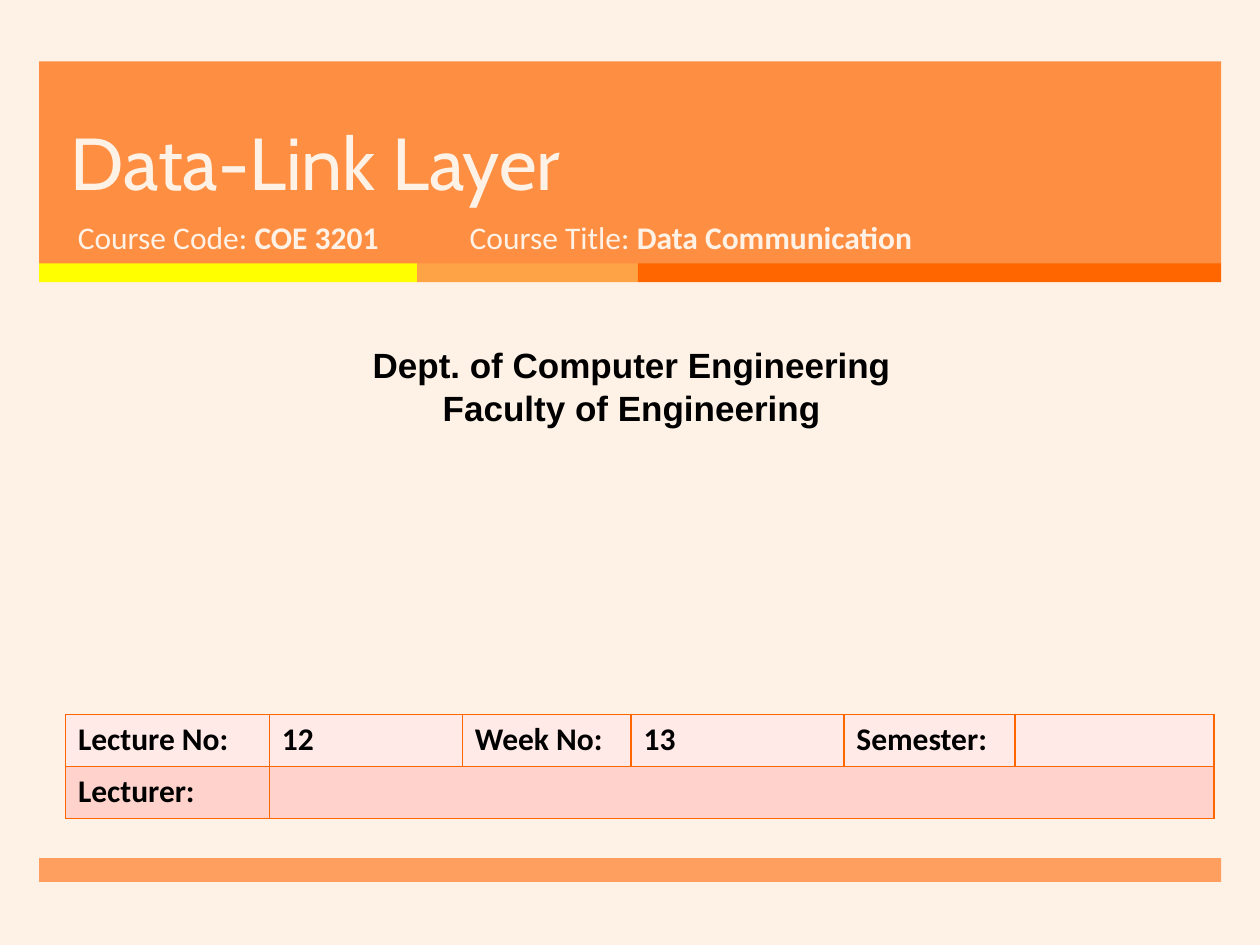
"""Build the opening slide of a data communication lecture."""
from itertools import accumulate

from lxml import etree
from pptx import Presentation
from pptx import util as u
from pptx.dml.color import RGBColor
from pptx.enum import shapes, text
from pptx.oxml.ns import qn

COLORS = {
    "cream": "FEF2E6", "orange": "FF7D26", "yellow": "FFFF00", "amber": "FFA347",
    "deep": "FF6600", "black": "000000", "pale": "FFEAE7", "pink": "FFD3CC",
}
TITLE = "Data-Link Layer"
COURSE = [
    ((1.32, 4.27, 7.75, 1.35), "Course Code: ", "COE 3201"),
    ((9.22, 4.27, 11.56, 1.35), "Course Title: ", "Data Communication"),
]
DEPARTMENT = ["Dept. of Computer Engineering", "Faculty of Engineering"]
LECTURE = [
    ("pale", ["Lecture No:", "12", "Week No:", "13", "Semester:", ""]),
    ("pink", ["Lecturer:", "", "", "", "", ""]),
]
COLUMNS = [4.11, 3.89, 3.4, 4.29, 3.45, 4.01]
ROW_HEIGHT = 1.05
BAND_LEFT, BAND_WIDTH = 0.79, 23.83
PANELS = [(1.24, 4.09, 85), (17.3, 0.48, 70)]
STRIPES = [("yellow", 7.62), ("amber", 4.45), ("deep", 11.76)]


def color(name):
    return RGBColor.from_string(COLORS[name])


def lengths(values):
    return [u.Cm(value) for value in values]


def add_band(page, place, name, opacity=100):
    band = page.shapes.add_shape(shapes.MSO_SHAPE.RECTANGLE, *lengths(place))
    band.shadow.inherit = False
    band.line.fill.background()
    band.fill.solid()
    band.fill.fore_color.rgb = color(name)
    if opacity < 100:
        tint = band.fill._xPr.find(".//" + qn("a:srgbClr"))
        etree.SubElement(tint, qn("a:alpha"), val=str(opacity * 1000))


def add_span(para, words, size, font, name, bold=False):
    span = para.add_run()
    span.text = words
    span.font.size = u.Pt(size)
    span.font.name = font
    span.font.bold = bold
    span.font.color.rgb = color(name)


def add_box(page, place):
    box = page.shapes.add_textbox(*lengths(place))
    box.text_frame.word_wrap = True
    return box.text_frame


def add_title(page):
    title = page.shapes.title
    title.left, title.top, title.width, title.height = lengths((1.17, 1.24, 19.23, 3.02))
    title.text_frame.vertical_anchor = text.MSO_ANCHOR.BOTTOM
    para = title.text_frame.paragraphs[0]
    para.alignment = text.PP_ALIGN.LEFT
    para.line_spacing = u.Pt(46)
    para.space_before = u.Pt(0)
    add_span(para, TITLE, 42, "Cabin", "cream")


def add_borders(cell):
    props = cell._tc.get_or_add_tcPr()
    for index, side in enumerate(("lnL", "lnR", "lnT", "lnB")):
        line = etree.Element(qn("a:" + side), w=str(u.Pt(1)))
        fill = etree.SubElement(line, qn("a:solidFill"))
        etree.SubElement(fill, qn("a:srgbClr"), val=COLORS["deep"])
        props.insert(index, line)


def add_lecture_table(page):
    place = (1.32, 14.4, sum(COLUMNS), ROW_HEIGHT * len(LECTURE))
    table = page.shapes.add_table(len(LECTURE), len(COLUMNS), *lengths(place)).table
    for column, width in zip(table.columns, COLUMNS):
        column.width = u.Cm(width)
    for row, (shade, entries) in enumerate(LECTURE):
        table.rows[row].height = u.Cm(ROW_HEIGHT)
        for column, words in enumerate(entries):
            cell = table.cell(row, column)
            cell.fill.solid()
            cell.fill.fore_color.rgb = color(shade)
            add_borders(cell)
            if words:
                add_span(cell.text_frame.paragraphs[0], words, 18, "Calibri", "black", True)
    table.cell(1, 1).merge(table.cell(1, len(COLUMNS) - 1))


def main():
    deck = Presentation()
    deck.slide_width, deck.slide_height = lengths((25.4, 19.05))
    page = deck.slides.add_slide(deck.slide_layouts[5])
    page.background.fill.solid()
    page.background.fill.fore_color.rgb = color("cream")

    for top, height, opacity in PANELS:
        add_band(page, (BAND_LEFT, top, BAND_WIDTH, height), "orange", opacity)
    starts = accumulate((width for _, width in STRIPES), initial=BAND_LEFT)
    for left, (name, width) in zip(starts, STRIPES):
        add_band(page, (left, 5.31, width, 0.38), name)

    add_title(page)
    page.shapes._spTree.append(page.shapes.title._element)
    for place, label, value in COURSE:
        para = add_box(page, place).paragraphs[0]
        add_span(para, label, 18, "Calibri", "cream")
        add_span(para, value, 18, "Calibri", "cream", True)

    frame = add_box(page, (0.2, 6.81, 25.07, 1.96))
    for index, words in enumerate(DEPARTMENT):
        para = frame.add_paragraph() if index else frame.paragraphs[0]
        para.alignment = text.PP_ALIGN.CENTER
        add_span(para, words, 20, "Arial", "black", True)

    add_lecture_table(page)
    deck.save("out.pptx")


if __name__ == "__main__":
    main()
